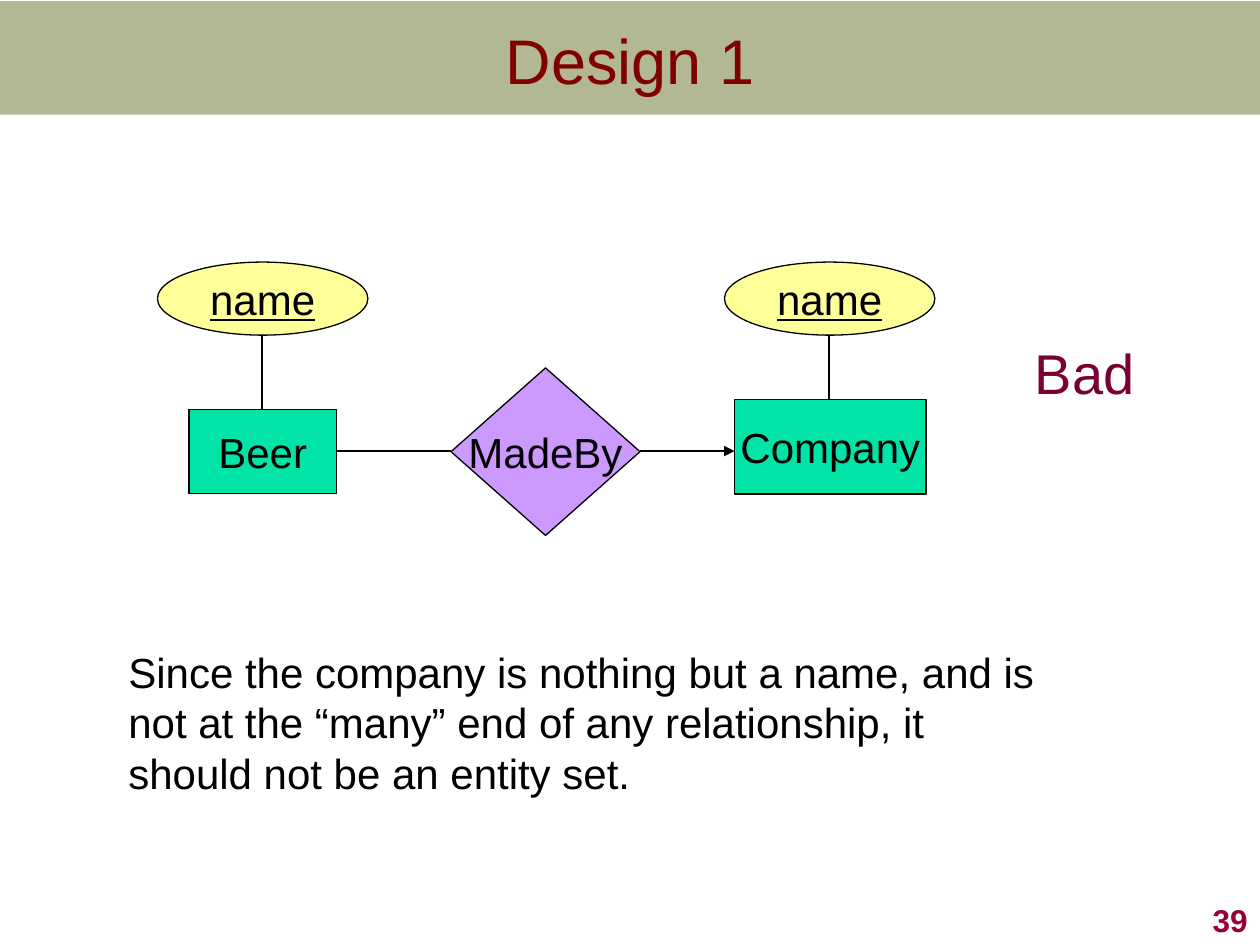
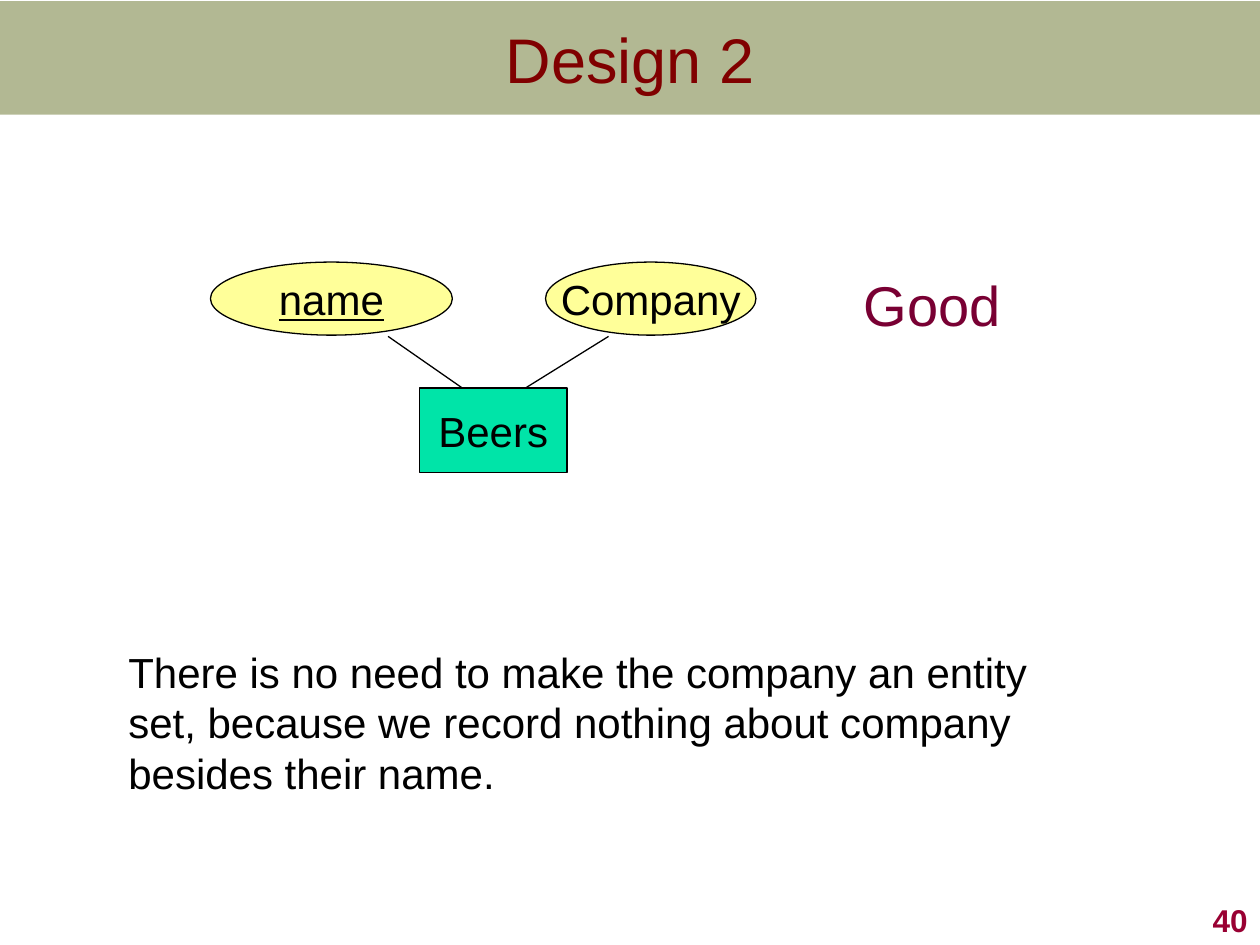
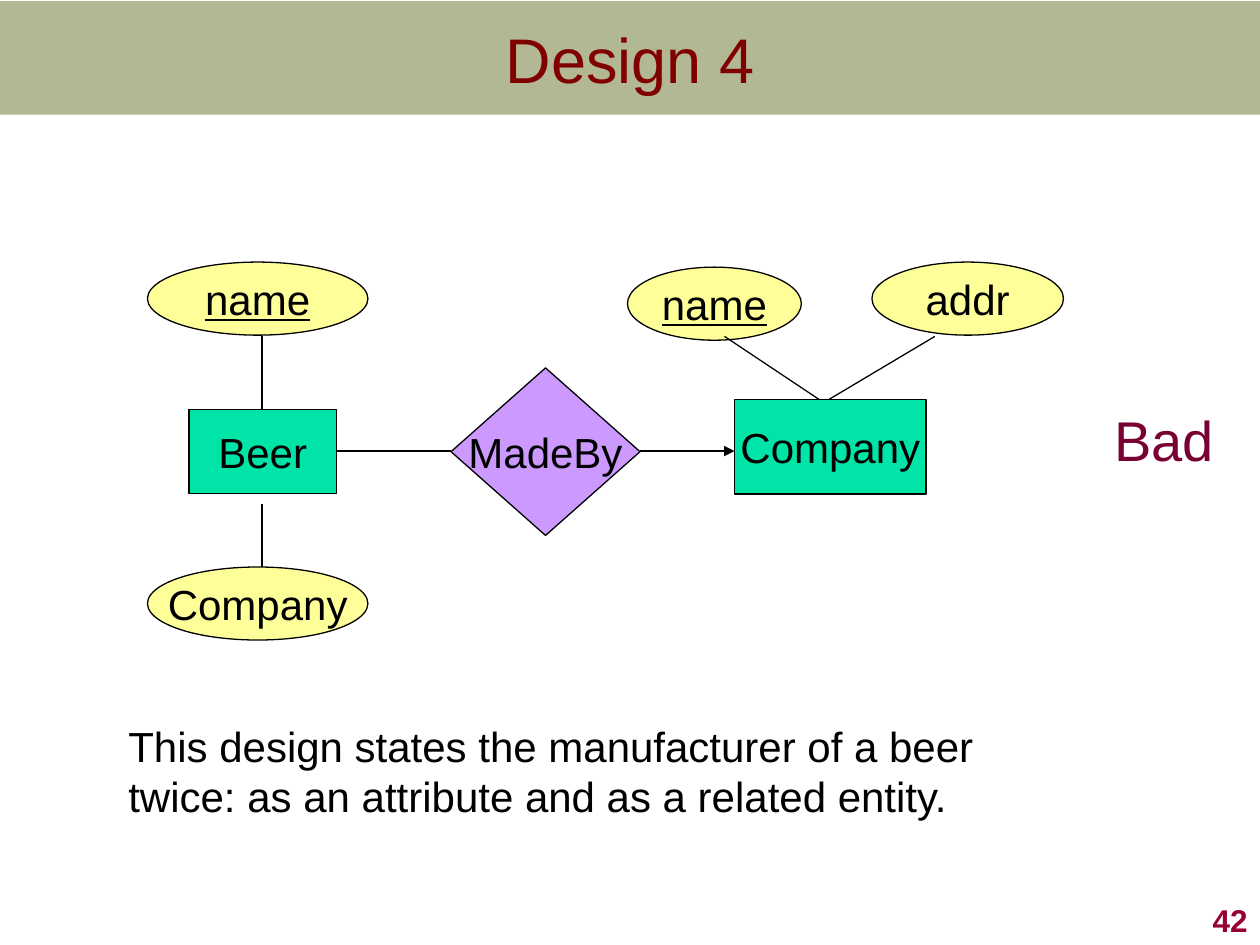
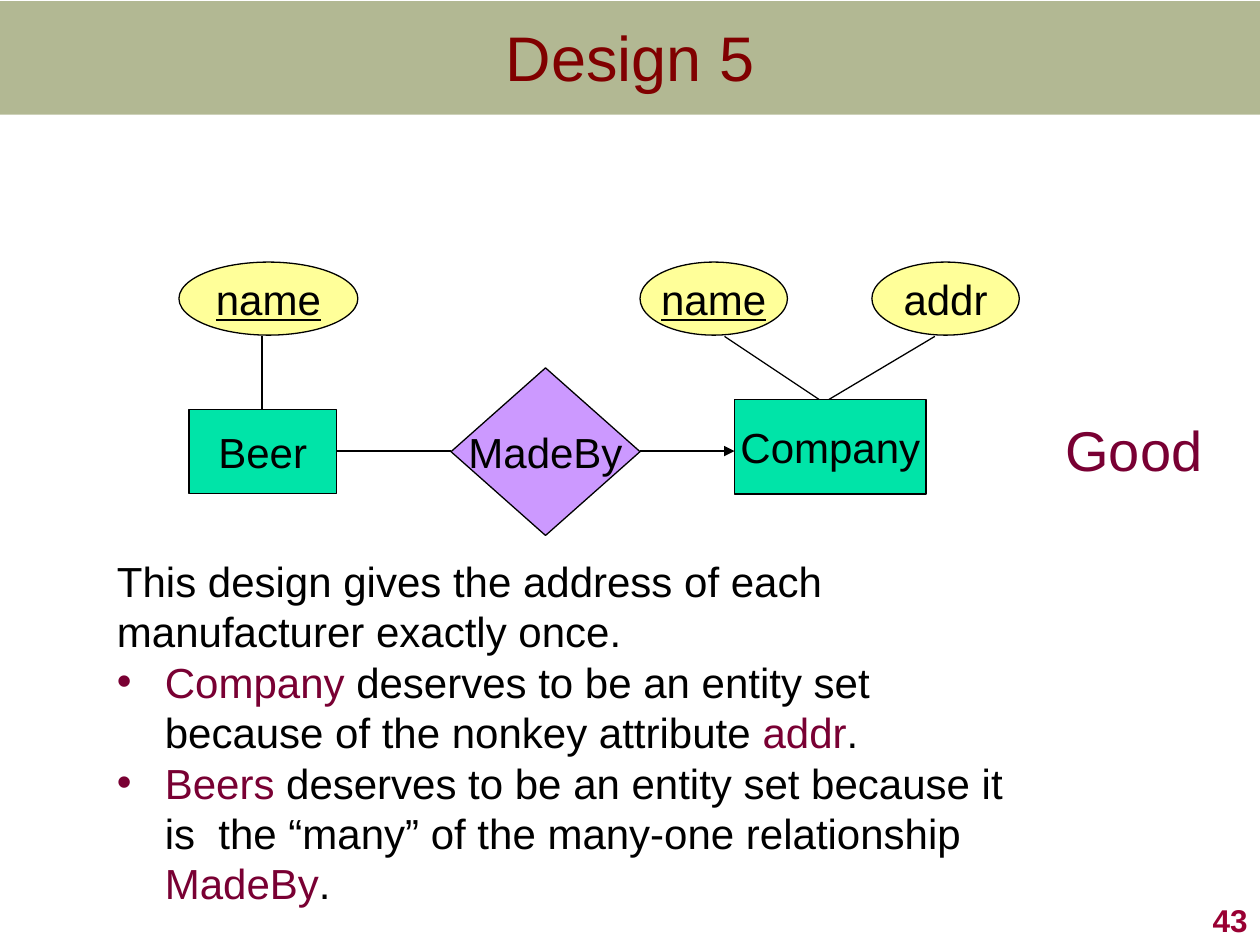
from lxml.etree import SubElement as Sub
from pptx import Presentation
from pptx.dml.color import RGBColor as Rgb
from pptx.enum.shapes import MSO_CONNECTOR as Conn, MSO_SHAPE as Form
from pptx.enum.text import MSO_ANCHOR as Anchor, MSO_AUTO_SIZE as Fit, PP_ALIGN as Align
from pptx.oxml.ns import qn
from pptx.util import Inches, Pt

HUES = {
    "band": "677228",
    "title": "800000",
    "ink": "000000",
    "mark": "790033",
    "page": "990033",
    "field": "FFFF99",
    "set": "00E4A8",
    "link": "CC99FF",
}
FONT = "Arial"
BODY = 24


class Deck:
    """Hold the shared style and the current slide."""

    def __init__(self):
        """Start an empty deck of 10 by 7.5 inches."""
        self.prs = Presentation()
        self.prs.slide_width, self.prs.slide_height = Inches(10), Inches(7.5)
        self.base = self.prs.slide_layouts[5]
        self.slide = None

    def hue(self, name):
        """Return a named colour."""
        return Rgb.from_string(HUES[name])

    def page(self, title, number, high):
        """Add a slide with its title and page number."""
        self.slide = self.prs.slides.add_slide(self.base)
        if len(self.prs.slides) == 1:
            self.band()
        head = self.slide.shapes.title
        head.left, head.top, head.width, head.height = map(Inches, (0, 0, 10, high))
        head.text_frame.vertical_anchor = Anchor.MIDDLE
        self.fill(head.text_frame.paragraphs[0], [(title, "title")], 36, Align.CENTER)
        foot = self.box(7.92, 7, 2.08, 0.5)
        foot.vertical_anchor = Anchor.BOTTOM
        self.fill(foot.paragraphs[0], [(str(number), "page")], 18, Align.RIGHT, bold=True)

    def band(self):
        """Put the title band behind everything on the layout."""
        band = self.shape(Form.RECTANGLE, 0, 0.01, 10, 0.9, "band")
        band.line.fill.background()
        tint = band._element.spPr.find(qn("a:solidFill"))[0]
        Sub(tint, qn("a:alpha"), val="50000")
        self.base.shapes._spTree.insert(2, band._element)

    def fill(self, para, runs, size, align=Align.LEFT, bold=False, under=False):
        """Fill a paragraph with runs of text and colour name."""
        para.alignment = align
        for text, hue in runs:
            run = para.add_run()
            run.text = text
            font = run.font
            font.name, font.size, font.bold = FONT, Pt(size), bold
            font.underline = under
            font.color.rgb = self.hue(hue)

    def box(self, x, y, w, h, wrap=True):
        """Add a text box and return its frame."""
        frame = self.slide.shapes.add_textbox(*map(Inches, (x, y, w, h))).text_frame
        frame.word_wrap = wrap
        return frame

    def note(self, x, y, h, text, points=()):
        """Add body text, with bullet points below it."""
        frame = self.box(x, y, 7.52, h)
        frame.auto_size = Fit.SHAPE_TO_FIT_TEXT
        self.fill(frame.paragraphs[0], [(text, "ink")], BODY)
        for runs in points:
            para = frame.add_paragraph()
            self.fill(para, runs, BODY)
            props = para._p.get_or_add_pPr()
            props.set("marL", str(Inches(0.38)))
            props.set("indent", str(Inches(-0.38)))
            Sub(props, qn("a:buFont"), typeface=FONT)
            Sub(props, qn("a:buChar"), char="•")

    def grade(self, x, y, w, text):
        """Add the verdict on a design."""
        frame = self.box(x, y, w, 0.64, wrap=False)
        frame.auto_size = Fit.SHAPE_TO_FIT_TEXT
        self.fill(frame.paragraphs[0], [(text, "mark")], 32, Align.CENTER)

    def shape(self, form, x, y, w, h, hue, text="", under=False):
        """Add a filled, outlined shape with centred text."""
        shape = self.slide.shapes.add_shape(form, *map(Inches, (x, y, w, h)))
        shape.shadow.inherit = False
        shape.fill.solid()
        shape.fill.fore_color.rgb = self.hue(hue)
        shape.line.color.rgb = self.hue("ink")
        shape.line.width = Pt(0.75)
        if text:
            frame = shape.text_frame
            frame.word_wrap = False
            frame.vertical_anchor = Anchor.MIDDLE
            self.fill(frame.paragraphs[0], [(text, "ink")], BODY, Align.CENTER, under=under)
        return shape

    def field(self, x, w, text, y=2.08, key=False):
        """Add an attribute, underlined when it is a key."""
        self.shape(Form.OVAL, x, y, w, 0.58, "field", text, key)

    def thing(self, x, y, w, h, text):
        """Add an entity set."""
        self.shape(Form.RECTANGLE, x, y, w, h, "set", text)

    def line(self, x1, y1, x2, y2, arrow=False):
        """Add a line, with an arrowhead at its end on request."""
        ends = map(Inches, (x1, y1, x2, y2))
        line = self.slide.shapes.add_connector(Conn.STRAIGHT, *ends)
        line.line.color.rgb = self.hue("ink")
        line.line.width = Pt(0.75)
        props = line._element.spPr
        if arrow:
            Sub(props.find(qn("a:ln")), qn("a:tailEnd"), type="triangle")
        Sub(props, qn("a:effectLst"))

    def chain(self):
        """Draw Beer, MadeBy and Company with the lines between them."""
        self.thing(1.5, 3.25, 1.17, 0.67, "Beer")
        self.thing(5.83, 3.17, 1.52, 0.75, "Company")
        self.shape(Form.DIAMOND, 3.58, 2.92, 1.5, 1.33, "link", "MadeBy")
        self.line(5.08, 3.58, 5.17, 3.58)
        self.line(3.58, 3.58, 2.67, 3.58)
        self.line(5.17, 3.58, 5.83, 3.58, arrow=True)
        self.line(2.08, 2.67, 2.08, 3.25)

    def fork(self):
        """Join two attributes to Company."""
        self.line(5.75, 2.67, 6.5, 3.17)
        self.line(7.42, 2.67, 6.58, 3.17)


def main():
    """Build the four slides and save them."""
    deck = Deck()

    deck.page("Design 1", 39, 0.94)
    deck.note(0.92, 5.08, 1.31, "Since the company is nothing but a name, and is not at "
              "the “many” end of any relationship, it should not be an entity set.")
    for x in (1.25, 5.75):
        deck.field(x, 1.67, "name", key=True)
    deck.chain()
    deck.line(6.58, 2.67, 6.58, 3.17)
    deck.grade(8.11, 2.64, 1, "Bad")

    deck.page("Design 2", 40, 0.92)
    deck.thing(3.33, 3.08, 1.17, 0.67, "Beers")
    deck.field(1.67, 1.92, "name", key=True)
    deck.field(4.33, 1.67, "Company")
    deck.line(3.08, 2.67, 3.67, 3.08)
    deck.line(4.83, 2.67, 4.17, 3.08)
    deck.note(0.92, 5.08, 1.31, "There is no need to make the company an entity set, "
              "because we record nothing about company besides their name.")
    deck.grade(6.75, 2.1, 1.3, "Good")

    deck.page("Design 4", 42, 0.92)
    deck.note(0.92, 5.67, 0.9, "This design states the manufacturer of a beer twice: "
              "as an attribute and as a related entity.")
    deck.field(1.17, 1.75, "Company", y=4.5)
    deck.line(2.08, 4.5, 2.08, 4)
    deck.field(1.17, 1.75, "name", key=True)
    deck.field(4.98, 1.38, "name", y=2.12, key=True)
    deck.field(6.92, 1.52, "addr")
    deck.chain()
    deck.fork()
    deck.grade(8.74, 3.17, 1, "Bad")

    deck.page("Design 5", 43, 0.89)
    deck.note(0.83, 4.36, 3.33,
              "This design gives the address of each manufacturer exactly once.", [
                  [("Company", "mark"),
                   (" deserves to be an entity set because of the nonkey attribute ", "ink"),
                   ("addr", "mark"), (".", "ink")],
                  [("Beers ", "mark"),
                   ("deserves to be an entity set because it is  the “many” of the "
                    "many-one relationship ", "ink"),
                   ("MadeBy", "mark"), (".", "ink")],
              ])
    deck.field(1.42, 1.42, "name", key=True)
    deck.field(5.08, 1.17, "name", key=True)
    deck.field(6.92, 1.17, "addr")
    deck.chain()
    deck.fork()
    deck.grade(8.35, 3.25, 1.3, "Good")

    deck.prs.save("out.pptx")


if __name__ == "__main__":
    main()
